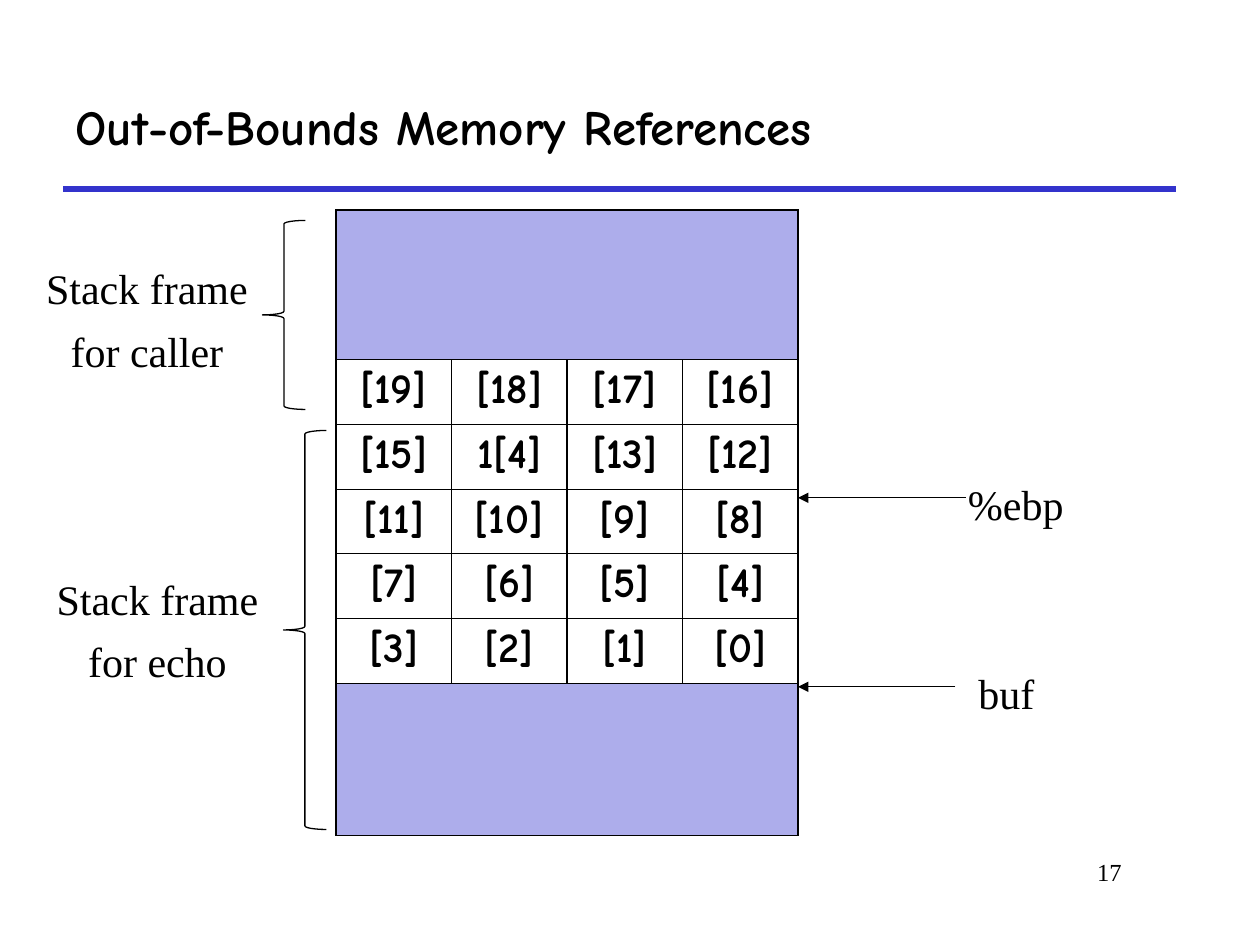
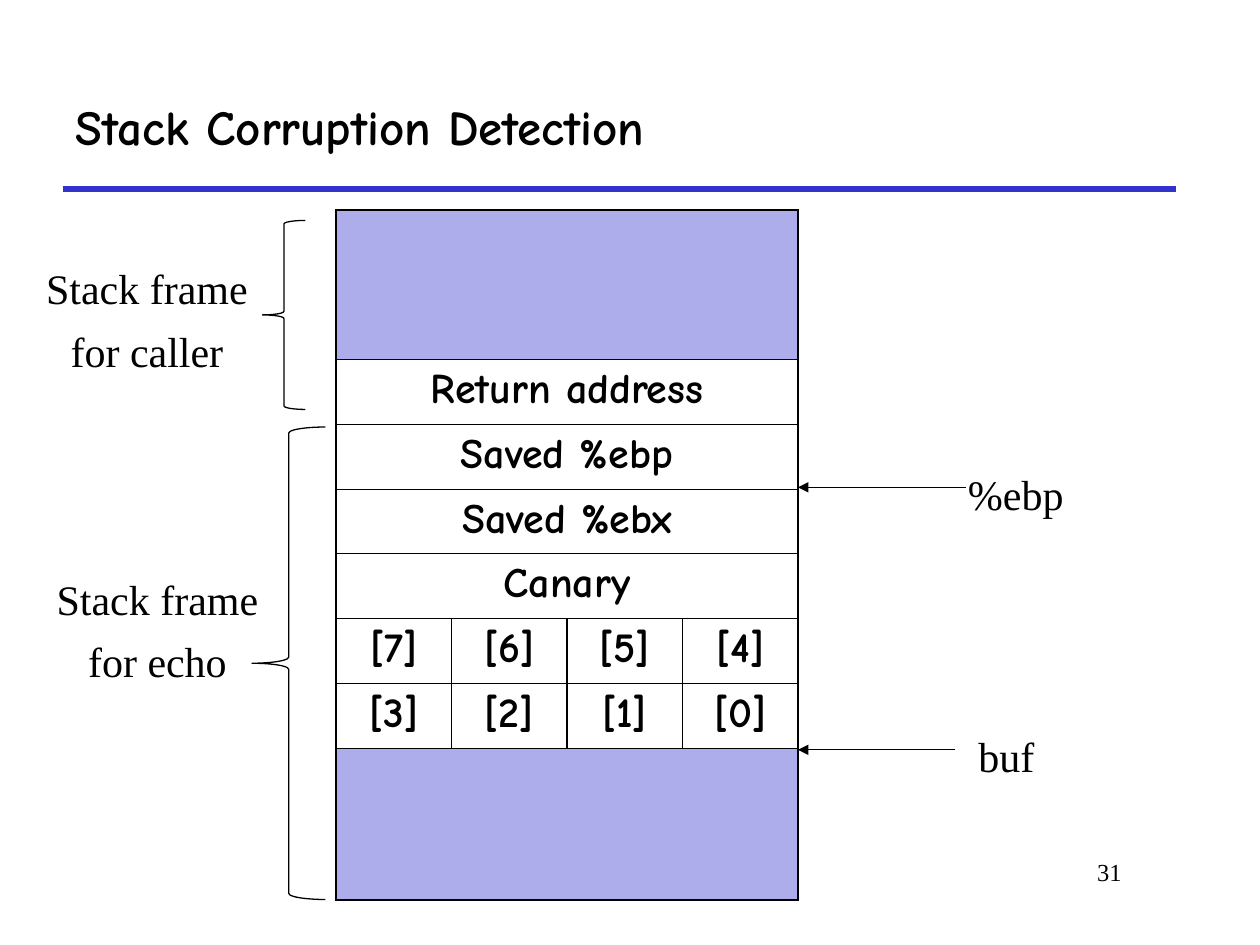
from dataclasses import dataclass

from pptx import Presentation
from pptx.dml.color import RGBColor
from pptx.enum.shapes import MSO_CONNECTOR, MSO_SHAPE
from pptx.enum.text import MSO_ANCHOR, PP_ALIGN
from pptx.oxml.ns import qn
from pptx.util import Pt
from lxml import etree

STRAIGHT = MSO_CONNECTOR.STRAIGHT
LEFT_BRACE = MSO_SHAPE.LEFT_BRACE
MIDDLE = MSO_ANCHOR.MIDDLE
LEFT, CENTER, RIGHT = PP_ALIGN.LEFT, PP_ALIGN.CENTER, PP_ALIGN.RIGHT


@dataclass(frozen=True)
class Theme:
    ink: str = "000000"
    rule: str = "3333CC"
    frame_fill: str = "ADADEB"
    heading_font: str = "Comic Neue"
    label_font: str = "Times New Roman"
    title_size: float = 28
    text_size: float = 24
    number_size: float = 14
    rule_width: float = 3
    thin_line: float = 0.75
    row_border: float = 0.45
    side_border: float = 1.08


THEME = Theme()

# Stack geometry shared by both slides, in points
STACK_LEFT, STACK_TOP = 192, 120
COLUMNS, COLUMN_WIDTH = 4, 66
CALLER_HEIGHT, WORD_HEIGHT, ECHO_HEIGHT = 85.5, 37, 87
STACK_RIGHT = STACK_LEFT + COLUMNS * COLUMN_WIDTH


def format_text(frame, font, size, align=LEFT, bold=False, gap=0):
    for index, paragraph in enumerate(frame.paragraphs):
        paragraph.alignment = align
        if index:
            paragraph.space_before = Pt(gap)
        for run in paragraph.runs:
            run.font.name = font
            run.font.size = Pt(size)
            run.font.bold = bold
            run.font.color.rgb = RGBColor.from_string(THEME.ink)


def add_label(slide, text, left, top, width, height=36,
              size=THEME.text_size, align=LEFT):
    label = slide.shapes.add_textbox(Pt(left), Pt(top), Pt(width), Pt(height))
    label.text_frame.word_wrap = True
    label.text_frame.text = text
    format_text(label.text_frame, THEME.label_font, size, align, gap=7)


def add_line(slide, start, end, color, width, arrow=False):
    points = [Pt(value) for value in (*start, *end)]
    line = slide.shapes.add_connector(STRAIGHT, *points)
    line.line.color.rgb = RGBColor.from_string(color)
    line.line.width = Pt(width)
    if arrow:
        etree.SubElement(line.line._get_or_add_ln(), qn("a:tailEnd"), type="triangle")
    etree.SubElement(line._element.spPr, qn("a:effectLst"))


def add_brace(slide, left, top, width, height):
    brace = slide.shapes.add_shape(LEFT_BRACE, Pt(left), Pt(top), Pt(width), Pt(height))
    brace.shadow.inherit = False
    brace.fill.background()
    brace.line.color.rgb = RGBColor.from_string(THEME.ink)
    brace.line.width = Pt(THEME.thin_line)


def add_pointer(slide, text, y, arrow_start, label_left):
    """Arrow into the right edge of the stack, with its register or variable."""
    add_line(slide, (arrow_start, y), (STACK_RIGHT, y), THEME.ink, THEME.thin_line, arrow=True)
    add_label(slide, text, label_left, y - 14.5, 84)


def set_borders(cell, top, bottom):
    properties = cell._tc.get_or_add_tcPr()
    side = THEME.side_border
    for edge, width in (("L", side), ("R", side), ("T", top), ("B", bottom)):
        border = etree.SubElement(properties, qn(f"a:ln{edge}"), w=str(Pt(width)))
        fill = etree.SubElement(border, qn("a:solidFill"))
        etree.SubElement(fill, qn("a:srgbClr"), val=THEME.ink)


def add_stack(slide, words):
    """Memory words between two filled frames; a one-item word spans the row."""
    rows = [[""], *words, [""]]
    heights = [CALLER_HEIGHT, *[WORD_HEIGHT] * len(words), ECHO_HEIGHT]
    stack = slide.shapes.add_table(
        len(rows), COLUMNS, Pt(STACK_LEFT), Pt(STACK_TOP),
        Pt(COLUMNS * COLUMN_WIDTH), Pt(sum(heights))).table
    stack.first_row = stack.horz_banding = False
    for column in stack.columns:
        column.width = Pt(COLUMN_WIDTH)

    last = len(rows) - 1
    for r, (texts, height) in enumerate(zip(rows, heights)):
        stack.rows[r].height = Pt(height)
        top = THEME.side_border if r == 0 else THEME.row_border
        bottom = THEME.side_border if r == last else THEME.row_border
        for c in range(COLUMNS):
            cell = stack.cell(r, c)
            set_borders(cell, top, bottom)
            if r in (0, last):
                cell.fill.solid()
                cell.fill.fore_color.rgb = RGBColor.from_string(THEME.frame_fill)
            else:
                cell.fill.background()
        if len(texts) == 1:
            stack.cell(r, 0).merge(stack.cell(r, COLUMNS - 1))
        for c, text in enumerate(texts):
            frame = stack.cell(r, c).text_frame
            frame.text = text
            format_text(frame, THEME.heading_font, THEME.text_size, CENTER, bold=True)


def byte_word(high):
    """Four byte labels, from the highest index down."""
    return [f"[{index}]" for index in range(high, high - COLUMNS, -1)]


def add_stack_slide(deck, title, number, words, echo_brace, ebp_y, buf_y):
    slide = deck.slides.add_slide(deck.slide_layouts[5])

    # Title, rule and slide number
    heading = slide.shapes.title
    heading.left, heading.top, heading.width, heading.height = Pt(36), Pt(36), Pt(654), Pt(72)
    heading.text_frame.text = title
    heading.text_frame.vertical_anchor = MIDDLE
    format_text(heading.text_frame, THEME.heading_font, THEME.title_size, bold=True)
    add_line(slide, (36, 108), (672, 108), THEME.rule, THEME.rule_width)
    add_label(slide, number, 546, 486, 102, size=THEME.number_size, align=RIGHT)

    # Stack and the pointers into it
    add_stack(slide, words)
    add_pointer(slide, "%ebp", ebp_y, arrow_start=552, label_left=546)
    add_pointer(slide, "buf", buf_y, arrow_start=546, label_left=552)

    # Frames on the left
    add_brace(slide, 150, 126, 24.5, 108)
    add_label(slide, "Stack frame\nfor caller", 18, 146.5, 132, 71, align=CENTER)
    add_brace(slide, *echo_brace)
    add_label(slide, "Stack frame\nfor echo", 18, 324, 144, 71, align=CENTER)


def main():
    deck = Presentation()
    deck.slide_width, deck.slide_height = Pt(720), Pt(540)

    add_stack_slide(
        deck, "Out-of-Bounds Memory References", "17",
        words=[byte_word(19), ["[15]", "1[4]", "[13]", "[12]"],
               byte_word(11), byte_word(7), byte_word(3)],
        echo_brace=(162, 246, 24.5, 228), ebp_y=284.5, buf_y=392.5)

    add_stack_slide(
        deck, "Stack Corruption Detection", "31",
        words=[["Return address"], ["Saved %ebp"], ["Saved %ebx"], ["Canary"],
               byte_word(7), byte_word(3)],
        echo_brace=(144, 244, 42, 270), ebp_y=278.5, buf_y=428.5)

    deck.save("out.pptx")


if __name__ == "__main__":
    main()
